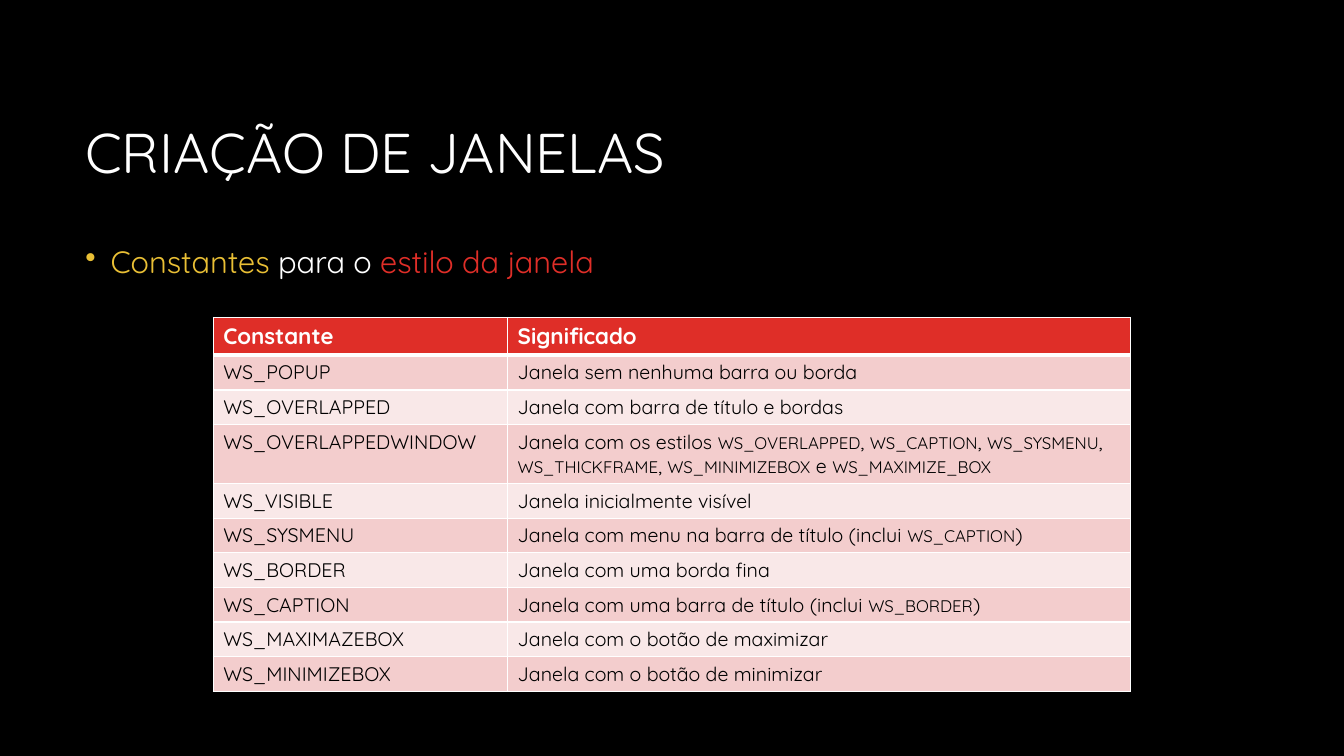
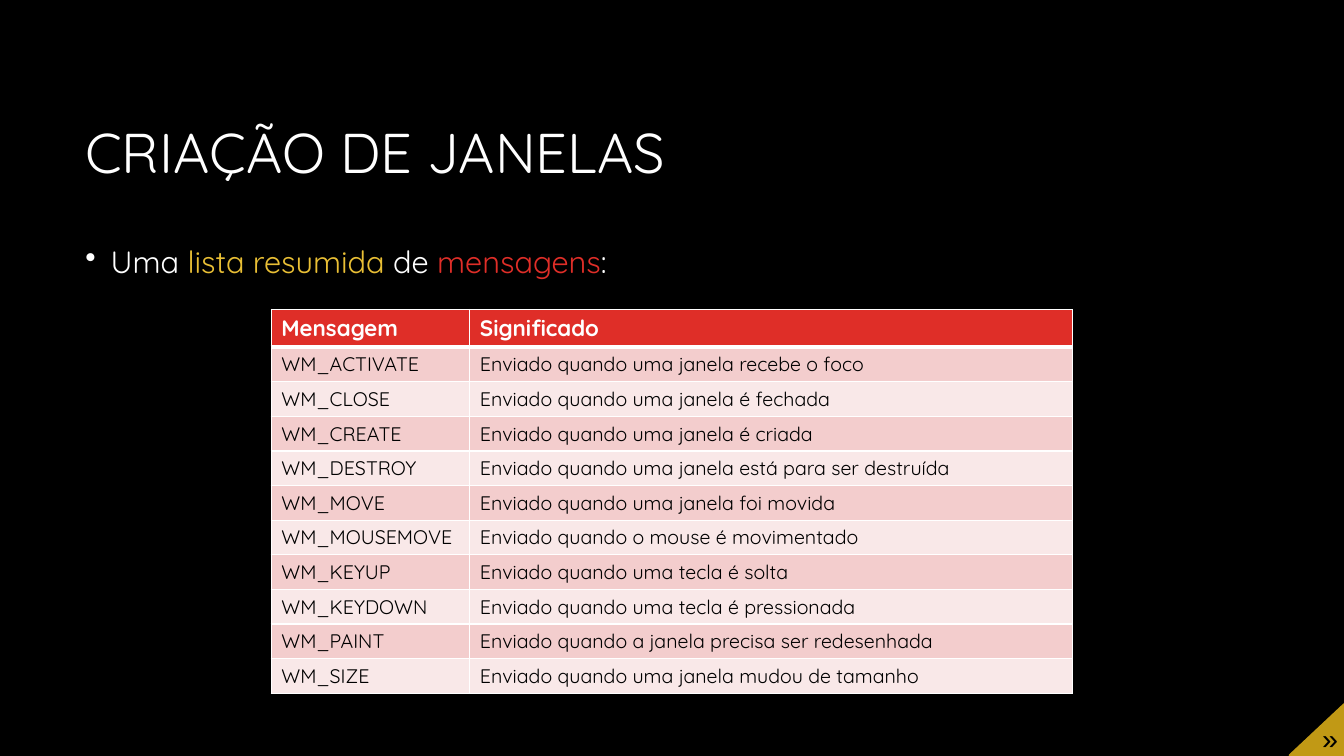
"""Builds two slides on window creation: style constants and messages."""
from dataclasses import dataclass

from lxml import etree
from pptx import Presentation
from pptx.dml.color import RGBColor
from pptx.enum.text import MSO_ANCHOR, PP_ALIGN
from pptx.oxml.ns import qn
from pptx.util import Emu, Inches, Pt

MIDDLE = MSO_ANCHOR.MIDDLE
CENTER = PP_ALIGN.CENTER

SLIDE_WIDTH, SLIDE_HEIGHT = Inches(13.333), Inches(7.5)
GRID_COLS, GRID_ROWS = 160, 90
MARGIN = 9
CONTENT_COLS = GRID_COLS - 2 * MARGIN
HEADER_ROWS, LINE_ROWS, WRAPPED_ROWS = 4.5, 4.12, 7.03


@dataclass(frozen=True)
class Theme:
    """Colours, fonts and type sizes of the deck."""
    background: str = "000000"
    light: str = "FFFFFF"
    dark: str = "000000"
    red: str = "DF2E28"
    yellow: str = "E9BF35"
    gold: str = "C19915"
    bands: tuple = ("F3CDCD", "F9E8E8")
    font: str = "Quicksand"
    mark_font: str = "Courier New"
    title_size: int = 40
    bullet_size: int = 22
    mark_size: int = 20
    header_size: int = 16
    cell_size: int = 14
    code_size: int = 12
    rule: int = 1
    header_rule: int = 3


THEME = Theme()

TITLE = "CRIAÇÃO DE JANELAS"

STYLE_BULLET = [("Constantes", THEME.yellow), (" para o ", THEME.light),
                ("estilo da janela", THEME.red)]
STYLE_ROWS = [
    ("Constante", "Significado"),
    ("WS_POPUP", "Janela sem nenhuma barra ou borda"),
    ("WS_OVERLAPPED", "Janela com barra de título e bordas"),
    ("WS_OVERLAPPEDWINDOW",
     "Janela com os estilos `WS_OVERLAPPED`, `WS_CAPTION`, `WS_SYSMENU`, "
     "`WS_THICKFRAME`, `WS_MINIMIZEBOX` e `WS_MAXIMIZE_BOX`"),
    ("WS_VISIBLE", "Janela inicialmente visível"),
    ("WS_SYSMENU", "Janela com menu na barra de título (inclui `WS_CAPTION`)"),
    ("WS_BORDER", "Janela com uma borda fina"),
    ("WS_CAPTION", "Janela com uma barra de título (inclui `WS_BORDER`)"),
    ("WS_MAXIMAZEBOX", "Janela com o botão de maximizar"),
    ("WS_MINIMIZEBOX", "Janela com o botão de minimizar"),
]

MESSAGE_BULLET = [("Uma ", THEME.light), ("lista resumida ", THEME.yellow),
                  ("de ", THEME.light), ("mensagens", THEME.red),
                  (":", THEME.light)]
MESSAGE_ROWS = [
    ("Mensagem", "Significado"),
    ("WM_ACTIVATE", "Enviado quando uma janela recebe o foco"),
    ("WM_CLOSE", "Enviado quando uma janela é fechada"),
    ("WM_CREATE", "Enviado quando uma janela é criada"),
    ("WM_DESTROY", "Enviado quando uma janela está para ser destruída"),
    ("WM_MOVE", "Enviado quando uma janela foi movida"),
    ("WM_MOUSEMOVE", "Enviado quando o mouse é movimentado"),
    ("WM_KEYUP", "Enviado quando uma tecla é solta"),
    ("WM_KEYDOWN", "Enviado quando uma tecla é pressionada"),
    ("WM_PAINT", "Enviado quando a janela precisa ser redesenhada"),
    ("WM_SIZE", "Enviado quando uma janela mudou de tamanho"),
]


def cols(count):
    """Return the width of a number of grid columns."""
    return Emu(int(SLIDE_WIDTH * count / GRID_COLS))


def rows(count):
    """Return the height of a number of grid rows."""
    return Emu(int(SLIDE_HEIGHT * count / GRID_ROWS))


def paint(fill, color):
    """Give a fill one solid colour."""
    fill.solid()
    fill.fore_color.rgb = RGBColor.from_string(color)


def add_run(paragraph, text, size, color, font=THEME.font, bold=False):
    """Add a formatted run to a paragraph."""
    run = paragraph.add_run()
    run.text = text
    run.font.name = font
    run.font.size = Pt(size)
    run.font.bold = bold
    run.font.color.rgb = RGBColor.from_string(color)


def add_text(shapes, left, top, width, height):
    """Add a wrapping text box placed on the grid and return its frame."""
    box = shapes.add_textbox(cols(left), rows(top), cols(width), rows(height))
    box.text_frame.word_wrap = True
    return box.text_frame


def add_title(slide):
    """Add the title shared by the slides."""
    frame = add_text(slide.shapes, MARGIN, 10, CONTENT_COLS, 17)
    frame.vertical_anchor = MIDDLE
    heading = frame.paragraphs[0]
    heading.line_spacing = 0.9
    add_run(heading, TITLE, THEME.title_size, THEME.light)


def add_bullet(slide, parts):
    """Add a bulleted line made of coloured parts."""
    frame = add_text(slide.shapes, MARGIN, 28.8, CONTENT_COLS, 52.8)
    line = frame.paragraphs[0]
    line.line_spacing = 0.9
    line.space_before = Pt(10)
    properties = line._p.get_or_add_pPr()
    properties.set("marL", str(Inches(0.25)))
    properties.set("indent", str(-Inches(0.25)))
    etree.SubElement(properties, qn("a:buChar"), char="•")
    for text, color in parts:
        add_run(line, text, THEME.bullet_size, color)


def add_borders(cell, top, bottom):
    """Draw the four borders of a cell with the given rule widths."""
    properties = cell._tc.get_or_add_tcPr()
    widths = {"a:lnL": THEME.rule, "a:lnR": THEME.rule,
              "a:lnT": top, "a:lnB": bottom}
    for position, (side, width) in enumerate(widths.items()):
        border = etree.Element(qn(side), w=str(Pt(width)))
        solid = etree.SubElement(border, qn("a:solidFill"))
        etree.SubElement(solid, qn("a:srgbClr"), val=THEME.light)
        properties.insert(position, border)


def fill_cell(cell, text, row):
    """Write a cell, with text between backticks in the code size."""
    content = cell.text_frame.paragraphs[0]
    if row == 0:
        paint(cell.fill, THEME.red)
        add_run(content, text, THEME.header_size, THEME.light, bold=True)
    else:
        paint(cell.fill, THEME.bands[(row - 1) % 2])
        for index, part in enumerate(text.split("`")):
            size = THEME.code_size if index % 2 else THEME.cell_size
            if part:
                add_run(content, part, size, THEME.dark)
    add_borders(cell,
                top=THEME.header_rule if row == 1 else THEME.rule,
                bottom=THEME.header_rule if row == 0 else THEME.rule)


def add_glossary(slide, top, widths, entries, wrapped=()):
    """Add a centred table of terms and meanings."""
    heights = [HEADER_ROWS if row == 0 else
               WRAPPED_ROWS if row in wrapped else LINE_ROWS
               for row in range(len(entries))]
    width = sum(widths)
    glossary = slide.shapes.add_table(
        len(entries), len(widths), cols((GRID_COLS - width) / 2), rows(top),
        cols(width), rows(sum(heights))).table
    for column, column_width in zip(glossary.columns, widths):
        column.width = cols(column_width)
    for row, entry in enumerate(entries):
        glossary.rows[row].height = rows(heights[row])
        for column, text in enumerate(entry):
            fill_cell(glossary.cell(row, column), text, row)


def add_corner_mark(slide):
    """Add the gold corner with its forward mark."""
    corner = slide.shapes.add_group_shape().shapes
    outline = corner.build_freeform(cols(153.5), rows(89.9))
    outline.add_line_segments([(cols(GRID_COLS), rows(83.8)),
                               (cols(GRID_COLS), rows(89.9))])
    triangle = outline.convert_to_shape()
    triangle.shadow.inherit = False
    paint(triangle.fill, THEME.gold)
    paint(triangle.line.fill, THEME.gold)
    triangle.line.width = Pt(THEME.rule)

    frame = add_text(corner, 155.9, 85.9, 4.1, 4.1)
    frame.margin_left = frame.margin_right = 0
    frame.margin_top = frame.margin_bottom = 0
    frame.vertical_anchor = MIDDLE
    mark = frame.paragraphs[0]
    mark.alignment = CENTER
    mark._p.get_or_add_pPr().set("marL", str(Inches(0.07)))
    add_run(mark, "»", THEME.mark_size, THEME.dark, THEME.mark_font)


def add_slide(deck, bullet):
    """Add a blank slide with the title and a bulleted line."""
    slide = deck.slides.add_slide(deck.slide_layouts[6])
    add_title(slide)
    add_bullet(slide, bullet)
    return slide


def main():
    """Build and save the deck."""
    deck = Presentation()
    deck.slide_width, deck.slide_height = SLIDE_WIDTH, SLIDE_HEIGHT
    paint(deck.slide_master.background.fill, THEME.background)

    styles = add_slide(deck, STYLE_BULLET)
    add_glossary(styles, 37.8, (35.04, 74.16), STYLE_ROWS, wrapped=(3,))

    messages = add_slide(deck, MESSAGE_BULLET)
    add_glossary(messages, 36.84, (23.64, 71.76), MESSAGE_ROWS)
    add_corner_mark(messages)

    deck.save("out.pptx")


if __name__ == "__main__":
    main()
